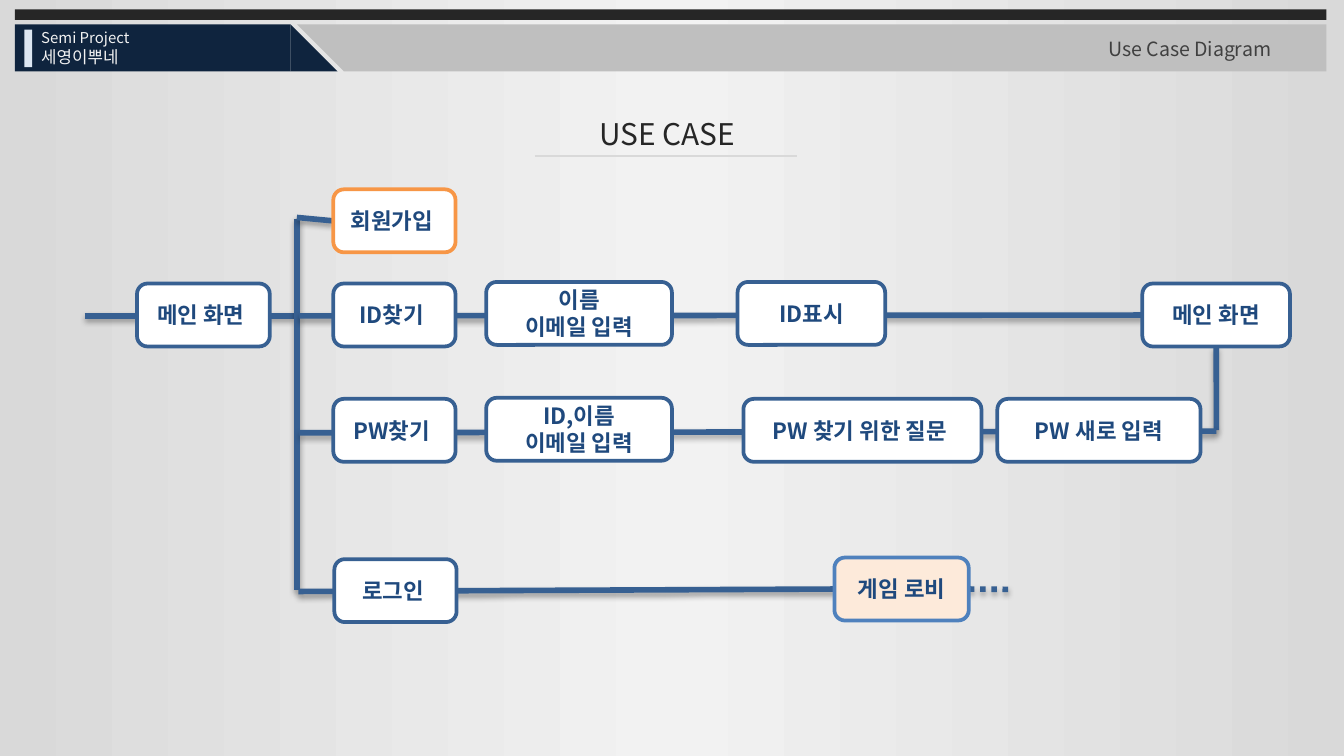
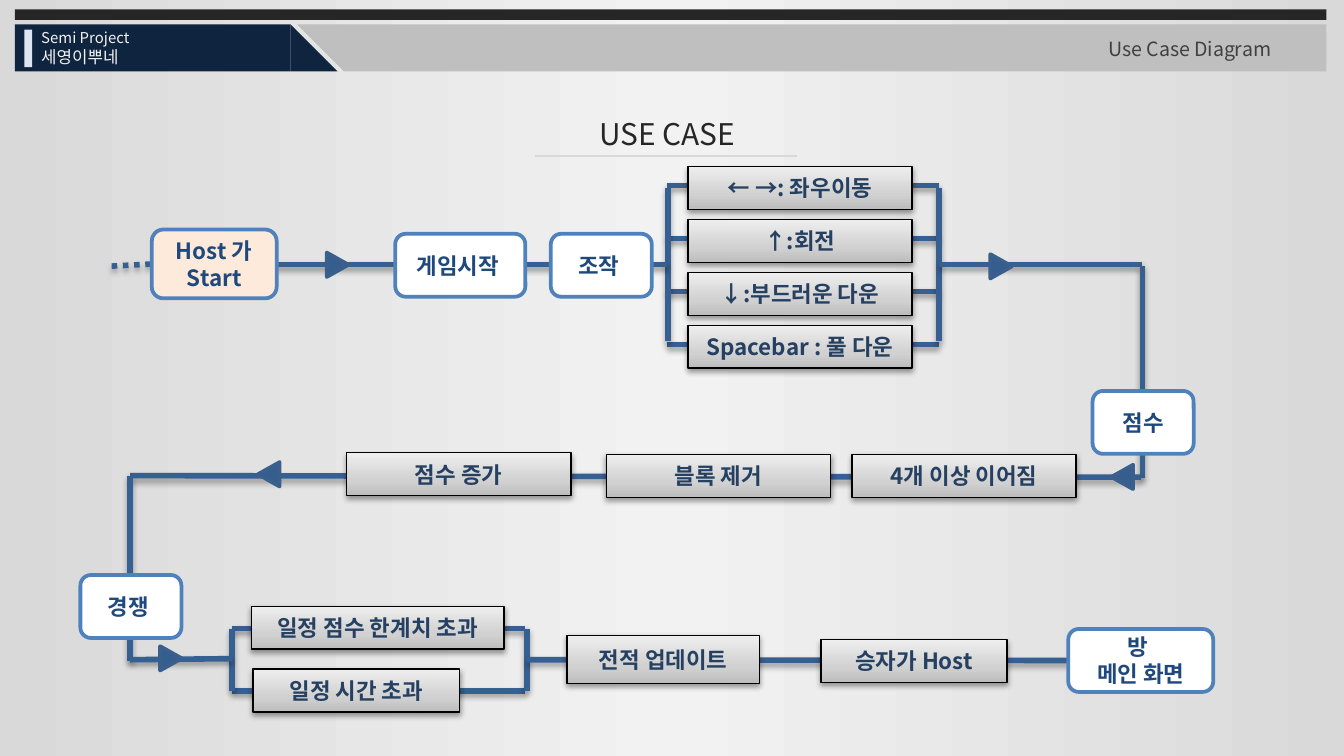
from dataclasses import dataclass
from typing import Any, Optional

import lxml.etree
import pptx
import pptx.dml.color
import pptx.enum.dml
import pptx.enum.shapes
import pptx.enum.text
import pptx.oxml.ns
import pptx.util

Cm = pptx.util.Cm
Pt = pptx.util.Pt
qn = pptx.oxml.ns.qn
SHAPE = pptx.enum.shapes.MSO_SHAPE
ALIGN = pptx.enum.text.PP_ALIGN
ANCHOR = pptx.enum.text.MSO_ANCHOR

FONT = "Noto Sans CJK KR"
INK, NAVY, SILVER, PALE, WHITE = "262626", "0F243E", "BFBFBF", "F2F2F2", "FFFFFF"
WIRE, BLUE, ORANGE, PEACH = "376092", "4F81BD", "F79646", "FDEADA"
BACKDROP = [(0, "D9D9D9"), (50, PALE), (100, "D9D9D9")]
METAL = [(0, "BDBDBD"), (35, "D1D1D1"), (100, "EEEEEE")]
TOP, LEFT, BOTTOM, RIGHT = range(4)


@dataclass
class Box:
    """A rounded step of the flow; the name lets wires join it."""
    text: str
    x: float
    y: float
    w: float
    h: float = 1.19
    fill: str = WHITE
    line: str = WIRE
    name: str = ""


@dataclass
class Card:
    """A grey rectangle with a metallic gradient."""
    text: str
    x: float
    y: float
    w: float = 4.24
    h: float = 0.81


@dataclass
class Wire:
    """A line between two points; an end may join (box name, side)."""
    x1: float
    y1: float
    x2: float
    y2: float
    start: Optional[tuple[str, int]] = None
    end: Optional[tuple[str, int]] = None
    dotted: bool = False


@dataclass
class Arrow:
    x: float
    y: float
    rotation: int


# ---- Formatting helpers ----
def rgb(value: str) -> pptx.dml.color.RGBColor:
    return pptx.dml.color.RGBColor.from_string(value)


def add_color(parent: Any, value: str, opacity: Optional[int] = None) -> None:
    color = lxml.etree.SubElement(parent, qn("a:srgbClr"), val=value)
    if opacity is not None:
        lxml.etree.SubElement(color, qn("a:alpha"), val=str(opacity * 1000))


def set_gradient(fill: Any, owner: Any, stops: list[tuple[int, str]], angle: int) -> None:
    fill.gradient()
    gradient = owner.find(".//" + qn("a:gradFill"))
    stop_list = gradient.find(qn("a:gsLst"))
    for stop in list(stop_list):
        stop_list.remove(stop)
    for position, value in stops:
        stop = lxml.etree.SubElement(stop_list, qn("a:gs"), pos=str(position * 1000))
        add_color(stop, value)
    gradient.find(qn("a:lin")).set("ang", str(angle * 60000))


def set_shadow(item: Any, opacity: int = 0, distance: float = 0) -> None:
    properties = item._element.spPr
    effects = properties.find(qn("a:effectLst"))
    if effects is None:
        effects = lxml.etree.SubElement(properties, qn("a:effectLst"))
    if opacity:
        shadow = lxml.etree.SubElement(
            effects, qn("a:outerShdw"), blurRad=str(Pt(3.1)),
            dist=str(Pt(distance)), dir="5400000", rotWithShape="0")
        add_color(shadow, "000000", opacity)


def write(frame: Any, text: str, *, size: float, color: str, bold: bool = False,
          align: Any = ALIGN.LEFT, anchor: Any = ANCHOR.TOP, grow: bool = False,
          spacing: Optional[float] = None, outline: Optional[int] = None) -> None:
    frame.word_wrap = True
    frame.vertical_anchor = anchor
    if grow:
        frame.auto_size = pptx.enum.text.MSO_AUTO_SIZE.SHAPE_TO_FIT_TEXT
    for index, line in enumerate(text.split("\n")):
        para = frame.add_paragraph() if index else frame.paragraphs[0]
        para.alignment = align
        if spacing:
            para.line_spacing = spacing
        span = para.add_run()
        span.text = line
        span.font.size, span.font.bold, span.font.name = Pt(size), bold, FONT
        span.font.color.rgb = rgb(color)
        properties = span._r.get_or_add_rPr()
        lxml.etree.SubElement(properties, qn("a:ea"), typeface=FONT)
        if outline is not None:
            edge = lxml.etree.Element(qn("a:ln"), w=str(Pt(0.75)))
            add_color(lxml.etree.SubElement(edge, qn("a:solidFill")), color, outline)
            properties.insert(0, edge)


# ---- Drawing functions ----
def place(item: Any, x: float, y: float, w: float, h: float) -> None:
    item.left, item.top, item.width, item.height = Cm(x), Cm(y), Cm(w), Cm(h)


def draw_shape(page: Any, kind: Any, x: float, y: float, w: float, h: float,
               fill: Optional[str] = None, line: Optional[str] = None,
               width: float = 2, rotation: int = 0) -> Any:
    shape = page.shapes.add_shape(kind, Cm(x), Cm(y), Cm(w), Cm(h))
    shape.rotation = rotation
    shape.shadow.inherit = False
    if fill:
        shape.fill.solid()
        shape.fill.fore_color.rgb = rgb(fill)
    if line:
        shape.line.color.rgb = rgb(line)
        shape.line.width = Pt(width)
    else:
        shape.line.fill.background()
    return shape


def draw_line(page: Any, x1: float, y1: float, x2: float, y2: float,
              color: str, width: float) -> Any:
    line = page.shapes.add_connector(
        pptx.enum.shapes.MSO_CONNECTOR.STRAIGHT, Cm(x1), Cm(y1), Cm(x2), Cm(y2))
    line.line.color.rgb = rgb(color)
    line.line.width = Pt(width)
    return line


def draw_box(page: Any, box: Box) -> Any:
    shape = draw_shape(page, SHAPE.ROUNDED_RECTANGLE, box.x, box.y, box.w, box.h,
                       box.fill, box.line)
    write(shape.text_frame, box.text, size=12, color="1F497D", bold=True,
          align=ALIGN.CENTER, anchor=ANCHOR.MIDDLE)
    return shape


def draw_card(page: Any, card: Card) -> Any:
    shape = draw_shape(page, SHAPE.RECTANGLE, card.x, card.y, card.w, card.h,
                       line="000000", width=0.75)
    set_gradient(shape.fill, shape._element, METAL, 270)
    set_shadow(shape, 38, 1.6)
    write(shape.text_frame, card.text, size=12, color="254061", bold=True,
          align=ALIGN.CENTER, anchor=ANCHOR.MIDDLE)
    return shape


def draw_wire(page: Any, wire: Wire, joints: dict[str, Any]) -> Any:
    line = draw_line(page, wire.x1, wire.y1, wire.x2, wire.y2, WIRE, 3)
    if wire.dotted:
        line.line.dash_style = pptx.enum.dml.MSO_LINE.ROUND_DOT
    set_shadow(line, 35, 1.8)
    if wire.start:
        line.begin_connect(joints[wire.start[0]], wire.start[1])
    if wire.end:
        line.end_connect(joints[wire.end[0]], wire.end[1])
    return line


def draw_header(page: Any) -> None:
    set_gradient(page.background.fill, page._element, BACKDROP, 0)
    draw_shape(page, SHAPE.RECTANGLE, 0.28, 0.18, 24.79, 0.2, INK)
    draw_shape(page, SHAPE.RECTANGLE, 0.28, 0.46, 5.21, 0.89, NAVY)
    draw_shape(page, SHAPE.RIGHT_TRIANGLE, 5.49, 0.46, 0.89, 0.89, NAVY)
    draw_shape(page, SHAPE.RECTANGLE, 6.5, 0.46, 18.57, 0.89, SILVER)
    draw_shape(page, SHAPE.RIGHT_TRIANGLE, 5.61, 0.46, 0.89, 0.89, SILVER, rotation=180)
    draw_shape(page, SHAPE.RECTANGLE, 0.46, 0.56, 0.15, 0.71, "DCE6F2")
    for text, x, y, w, h, size, color in [
            ("Semi Project", 0.53, 0.41, 3.81, 0.61, 8, PALE),
            ("세영이뿌네", 0.53, 0.76, 4.95, 0.64, 9, PALE),
            ("Use Case Diagram", 20.7, 0.58, 4.5, 0.71, 10.5, "404040")]:
        label = page.shapes.add_textbox(Cm(x), Cm(y), Cm(w), Cm(h))
        write(label.text_frame, text, size=size, color=color, grow=True, outline=10)
    title = page.shapes.title
    place(title, 9.53, 1.73, 6.15, 1.27)
    write(title.text_frame, "USE CASE", size=16, color=INK, align=ALIGN.CENTER,
          anchor=ANCHOR.MIDDLE, grow=True, spacing=1.5, outline=26)
    set_shadow(draw_line(page, 10.11, 2.95, 15.06, 2.95, "D9D9D9", 1))


def draw_page(deck: Any, boxes: list[Box], wires: list[Wire],
              cards: list[Card], arrows: list[Arrow]) -> None:
    page = deck.slides.add_slide(deck.slide_layouts[5])
    draw_header(page)
    steps = [draw_box(page, box) for box in boxes]
    for card in cards:
        draw_card(page, card)
    joints = {box.name: step for box, step in zip(boxes, steps) if box.name}
    for wire in wires:  # wires run behind the boxes
        steps[0]._element.addprevious(draw_wire(page, wire, joints)._element)
    for arrow in arrows:
        draw_shape(page, SHAPE.ISOSCELES_TRIANGLE, arrow.x, arrow.y, 0.46, 0.41,
                   "355E8F", "3A5F8C", rotation=arrow.rotation)


# ---- Slide 1: sign-up, account search and login ----
ACCOUNT_BOXES = [
    Box("메인 화면 ", 2.59, 5.36, 2.51),
    Box("회원가입 ", 6.3, 3.58, 2.31, line=ORANGE, name="sign up"),
    Box("ID찾기 ", 6.3, 5.36, 2.31),
    Box("이름\n이메일 입력", 9.19, 5.33, 3.51),
    Box("ID표시", 13.94, 5.33, 2.79),
    Box("메인 화면", 21.59, 5.36, 2.79, name="main"),
    Box("PW찾기 ", 6.3, 7.54, 2.31),
    Box("ID,이름\n이메일 입력", 9.19, 7.52, 3.51),
    Box("PW 찾기 위한 질문 ", 14.05, 7.54, 4.5),
    Box("PW 새로 입력", 18.85, 7.54, 3.84),
    Box("로그인 ", 6.32, 10.57, 2.31),
    Box("게임 로비", 15.77, 10.54, 2.54, fill=PEACH, line=BLUE, name="lobby"),
]
ACCOUNT_WIRES = [
    Wire(1.6, 5.97, 5.56, 5.97),
    Wire(5.61, 4.14, 5.61, 11.15),
    Wire(22.99, 6.55, 22.99, 8.13, start=("main", BOTTOM)),
    Wire(22.99, 8.15, 5.66, 8.18),
    Wire(21.59, 5.95, 5.66, 5.97, start=("main", LEFT)),
    Wire(6.3, 4.17, 5.61, 4.11, start=("sign up", LEFT)),
    Wire(5.64, 11.18, 15.77, 11.14, end=("lobby", LEFT)),
    Wire(18.31, 11.14, 19.08, 11.14, start=("lobby", RIGHT), dotted=True),
]

# ---- Slide 2: game play ----
GAME_BOXES = [
    Box("Host 가\nStart", 2.87, 4.34, 2.36, 1.3, PEACH, BLUE, "host"),
    Box("게임시작 ", 7.47, 4.42, 2.46, line=BLUE),
    Box("조작 ", 10.41, 4.42, 1.91, line=BLUE),
    Box("점수", 20.65, 7.39, 1.91, line=BLUE),
    Box("경쟁 ", 1.52, 10.87, 1.91, line=BLUE),
    Box("방 \n메인 화면", 20.19, 11.89, 2.74, line=BLUE, name="room"),
]
KEYS = ["← →: 좌우이동", "↑:회전", "↓:부드러운 다운", "Spacebar : 풀 다운"]
GAME_CARDS = [Card(text, 13, 3.15 + row) for row, text in enumerate(KEYS)] + [
    Card("4개 이상 이어짐", 16.1, 8.59),
    Card("블록 제거", 11.46, 8.59),
    Card("점수 증가", 6.55, 8.56),
    Card("일정 점수 한계치 초과", 4.75, 11.46, 4.78),
    Card("일정 시간 초과", 4.78, 12.65, 3.91),
    Card("전적 업데이트", 10.72, 12.01, 3.63, 0.91),
    Card("승자가 Host", 15.52, 12.09, 3.51),
]
GAME_WIRES = [Wire(12.6, 3.51 + row, 17.75, 3.51 + row) for row in range(len(KEYS))] + [
    Wire(x, 3.56, x, 6.45) for x in (12.62, 17.75)] + [
    Wire(4.39, y, 9.93, y) for y in (11.88, 13.06)] + [
    Wire(x, 11.88, x, 13.06) for x in (4.39, 9.96)] + [
    Wire(2.11, 5.03, 2.87, 4.99, end=("host", LEFT), dotted=True),
    Wire(4.04, 5, 12.6, 5),
    Wire(17.75, 5, 21.59, 5),
    Wire(21.59, 5.03, 21.59, 9.04),
    Wire(2.46, 8.99, 21.56, 9.02),
    Wire(2.46, 8.99, 2.46, 12.5),
    Wire(2.46, 12.47, 4.39, 12.45),
    Wire(9.96, 12.47, 20.19, 12.48, end=("room", LEFT)),
]
GAME_ARROWS = [
    Arrow(6.15, 4.8, 90), Arrow(18.69, 4.83, 90), Arrow(20.98, 8.81, 270),
    Arrow(4.85, 8.76, 270), Arrow(3, 12.24, 90),
]


def main() -> None:
    deck = pptx.Presentation()
    deck.slide_width, deck.slide_height = Cm(25.4), Cm(14.29)
    draw_page(deck, ACCOUNT_BOXES, ACCOUNT_WIRES, [], [])
    draw_page(deck, GAME_BOXES, GAME_WIRES, GAME_CARDS, GAME_ARROWS)
    deck.save("out.pptx")


if __name__ == "__main__":
    main()
